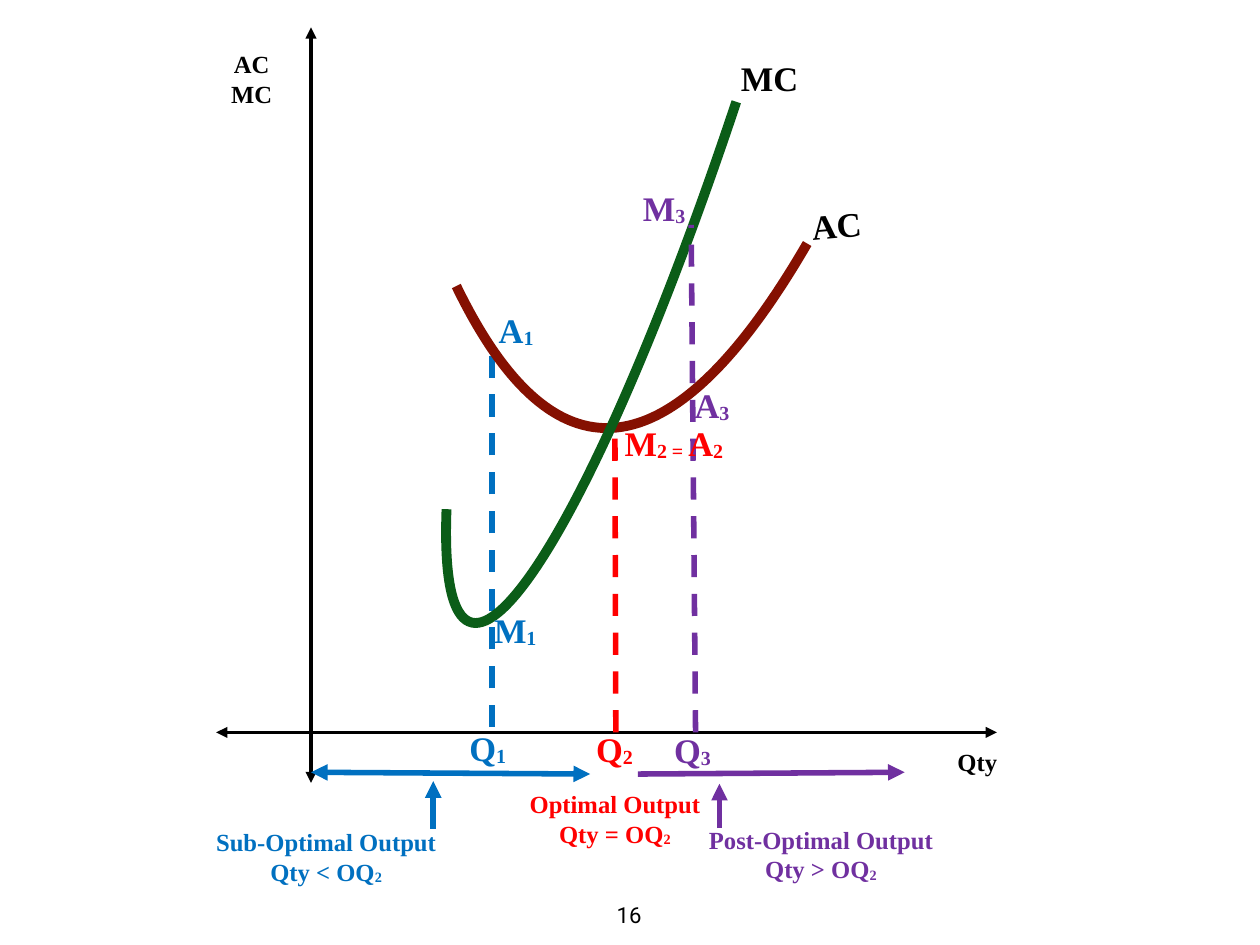
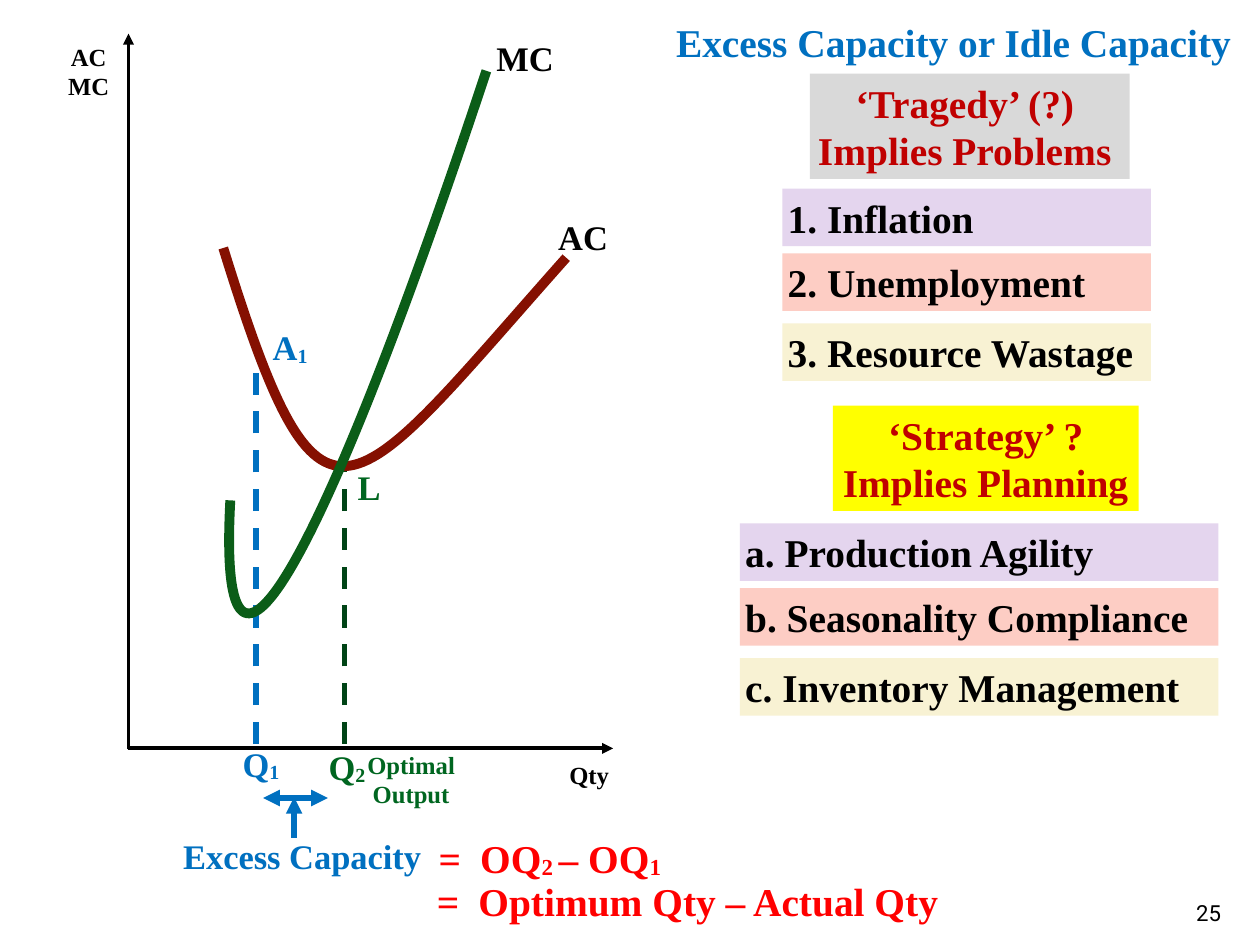
from dataclasses import dataclass

from lxml import etree
from pptx import Presentation
from pptx.dml.color import RGBColor
from pptx.enum.dml import MSO_LINE_DASH_STYLE as Dash
from pptx.enum.shapes import MSO_CONNECTOR as Connector, MSO_SHAPE as Preset
from pptx.enum.text import MSO_ANCHOR as Anchor, MSO_AUTO_SIZE as AutoSize, PP_ALIGN as Align
from pptx.oxml.ns import qn
from pptx.util import Inches, Pt


@dataclass(frozen=True)
class Theme:
    black: str = "000000"
    blue: str = "0070C0"
    red: str = "FF0000"
    purple: str = "7030A0"
    green: str = "006620"
    dark_green: str = "004416"
    crimson: str = "C00000"
    average_cost: str = "851001"
    marginal_cost: str = "0B5D18"
    grey_fill: str = "D9D9D9"
    yellow_fill: str = "FFFF00"
    row_fills: tuple = ("E4D5EE", "FDCDC4", "F8F2D3")
    serif: str = "Times New Roman"
    sans: str = "Roboto"
    heading: int = 32
    point: int = 28
    caption: int = 20
    page: int = 18
    axis_width: float = 3
    guide_width: float = 4.5
    curve_width: float = 8


theme = Theme()


def write(shape, text, ink, size, align=Align.CENTER, font=theme.serif):
    frame = shape.text_frame
    frame.auto_size = AutoSize.NONE
    frame.word_wrap = shape.width > Inches(1)
    frame.vertical_anchor = Anchor.MIDDLE
    frame.margin_left = frame.margin_right = Inches(0.06)
    frame.margin_top = frame.margin_bottom = Inches(0.06)
    frame.text = text
    for paragraph in frame.paragraphs:
        paragraph.alignment = align
        first, *rest = paragraph.text.split("_")
        paragraph.text = first
        for index, piece in enumerate(rest):
            run = paragraph.add_run()
            run.text = piece
            if index % 2 == 0:
                run._r.get_or_add_rPr().set("baseline", "-6000")
        for run in paragraph.runs:
            run.font.name = font
            run.font.size = Pt(size)
            run.font.bold = font == theme.serif
            run.font.color.rgb = RGBColor.from_string(ink)


def draw_line(slide, points, ink, width, ends="", dash=None):
    line = slide.shapes.add_connector(Connector.STRAIGHT, *map(Inches, points))
    line.line.color.rgb = RGBColor.from_string(ink)
    line.line.width = Pt(width)
    if dash:
        line.line.dash_style = dash
    outline = line.line._get_or_add_ln()
    for end in ends.split():
        etree.SubElement(outline, qn(f"a:{end}"), type="triangle")
    etree.SubElement(line._element.spPr, qn("a:effectLst"))


deck = Presentation()
deck.slide_width, deck.slide_height = Inches(14.22), Inches(10.67)
optimum = deck.slides.add_slide(deck.slide_layouts[6])
capacity = deck.slides.add_slide(deck.slide_layouts[5])

title = capacity.shapes.title
title.left, title.top, title.width, title.height = map(Inches, (7.57, 0.15, 6.6, 0.65))
write(title, "Excess Capacity or Idle Capacity", theme.blue, theme.heading, Align.LEFT)

for slide, points, ink in (
    (optimum, (5.55, 8.21, 5.55, 4), theme.blue),
    (capacity, (2.89, 8.4, 2.89, 4.11), theme.blue),
    (capacity, (3.89, 8.4, 3.89, 5.24), theme.dark_green),
):
    draw_line(slide, points, ink, theme.guide_width, dash=Dash.DASH)

for slide, points, ends in (
    (optimum, (3.51, 8.84, 3.51, 0.31), "headEnd tailEnd"),
    (optimum, (2.44, 8.27, 11.25, 8.27), "headEnd tailEnd"),
    (capacity, (1.45, 8.46, 1.45, 0.38), "tailEnd"),
    (capacity, (1.44, 8.45, 6.92, 8.45), "tailEnd"),
):
    draw_line(slide, points, theme.black, theme.axis_width, ends)

for slide, ink, controls in (
    (optimum, theme.average_cost, ((9.11, 2.75), (7.76, 5.08), (6.37, 5.75), (5.15, 3.23))),
    (optimum, theme.marginal_cost, ((8.31, 1.15), (6.57, 6.37), (4.93, 8.68), (5.04, 5.75))),
    (capacity, theme.average_cost, ((6.39, 2.91), (3.91, 5.7), (3.64, 6.42), (2.52, 2.8))),
    (capacity, theme.marginal_cost, ((5.49, 0.8), (3.72, 6.14), (2.44, 8.63), (2.6, 5.65))),
):
    samples = []
    for step in range(41):
        t = step / 40
        weights = ((1 - t) ** 3, 3 * t * (1 - t) ** 2, 3 * t**2 * (1 - t), t**3)
        samples.append([
            Inches(sum(weight * point[axis] for weight, point in zip(weights, controls)))
            for axis in (0, 1)
        ])
    builder = slide.shapes.build_freeform(*samples[0])
    builder.add_line_segments(samples[1:], close=False)
    curve = builder.convert_to_shape()
    curve.shadow.inherit = False
    curve.fill.background()
    curve.line.color.rgb = RGBColor.from_string(ink)
    curve.line.width = Pt(theme.curve_width)
    outline = next(curve._element.iter(qn("a:path")))
    for segment in outline.findall(qn("a:lnTo")):
        outline.remove(segment)
    bezier = etree.SubElement(outline, qn("a:cubicBezTo"))
    for x, y in controls[1:]:
        etree.SubElement(bezier, qn("a:pt"), x=str(Inches(x) - curve.left), y=str(Inches(y) - curve.top))

for points, ink in (
    ((6.95, 8.27, 6.94, 4.81), theme.red),
    ((7.85, 8.27, 7.8, 2.54), theme.purple),
):
    draw_line(optimum, points, ink, theme.guide_width, dash=Dash.DASH)

for slide, points, ink, ends in (
    (optimum, (4.89, 9.36, 4.89, 8.82), theme.blue, "tailEnd"),
    (optimum, (3.51, 8.72, 6.66, 8.74), theme.blue, "headEnd tailEnd"),
    (optimum, (8.12, 9.35, 8.12, 8.85), theme.purple, "tailEnd"),
    (optimum, (7.2, 8.74, 10.21, 8.72), theme.purple, "tailEnd"),
    (capacity, (3.32, 9.46, 3.32, 9), theme.blue, "tailEnd"),
    (capacity, (2.97, 9.01, 3.7, 9.01), theme.blue, "headEnd tailEnd"),
):
    draw_line(slide, points, ink, theme.guide_width, ends)

for slide, left, top, width, text, ink in (
    (optimum, 5.56, 3.43, 0.53, "A_1", theme.blue),
    (optimum, 5.51, 6.82, 0.61, "M_1", theme.blue),
    (optimum, 5.23, 8.15, 0.55, "Q_1", theme.blue),
    (optimum, 8.3, 0.59, 0.77, "MC", theme.black),
    (optimum, 6.87, 4.71, 1.47, "M_2 = _A_2", theme.red),
    (optimum, 6.66, 8.16, 0.55, "Q_2", theme.red),
    (optimum, 7.77, 4.28, 0.53, "A_3", theme.purple),
    (optimum, 7.19, 2.05, 0.61, "M_3", theme.purple),
    (optimum, 7.54, 8.17, 0.55, "Q_3", theme.purple),
    (capacity, 3.01, 3.63, 0.53, "A_1", theme.blue),
    (capacity, 2.67, 8.33, 0.55, "Q_1", theme.blue),
    (capacity, 3.64, 8.37, 0.55, "Q_2", theme.green),
    (capacity, 6.24, 2.38, 0.68, "AC", theme.black),
    (capacity, 5.54, 0.36, 0.77, "MC", theme.black),
    (capacity, 3.98, 5.2, 0.37, "L", theme.green),
    (capacity, 1.87, 9.37, 3.08, "Excess Capacity", theme.blue),
):
    point_label = slide.shapes.add_textbox(*map(Inches, (left, top, width, 0.58)))
    write(point_label, text, ink, theme.point)

average_cost_label = optimum.shapes.add_textbox(*map(Inches, (9.03, 2.25, 0.82, 0.58)))
average_cost_label.rotation = 354.7
write(average_cost_label, "AC", theme.black, theme.point)

for slide, box, text, ink in (
    (optimum, (2.22, 0.49, 1.24, 0.79), "AC\nMC", theme.black),
    (optimum, (10.41, 8.37, 1.24, 0.45), "Qty", theme.black),
    (optimum, (5.67, 8.85, 2.54, 0.79), "Optimal Output\nQty = OQ_2", theme.red),
    (optimum, (2.14, 9.28, 3.08, 0.79), "Sub-Optimal Output\nQty < OQ_2", theme.blue),
    (optimum, (7.81, 9.25, 2.91, 0.79), "Post-Optimal Output\nQty > OQ_2", theme.purple),
    (capacity, (0.38, 0.41, 1.24, 0.79), "AC\nMC", theme.black),
    (capacity, (6.03, 8.52, 1.24, 0.45), "Qty", theme.black),
    (capacity, (3.37, 8.4, 2.54, 0.79), "Optimal\nOutput", theme.green),
):
    caption = slide.shapes.add_textbox(*map(Inches, box))
    write(caption, text, ink, theme.caption)

for left, top, width, text in (
    (4.89, 9.36, 3.5, "=\tOQ_2 _– OQ_1"),
    (4.87, 9.84, 6, "=\tOptimum Qty – Actual Qty"),
):
    equation = capacity.shapes.add_textbox(*map(Inches, (left, top, width, 0.65)))
    write(equation, text, theme.red, theme.heading, Align.LEFT)
    properties = equation.text_frame.paragraphs[0]._p.get_or_add_pPr()
    tabs = etree.SubElement(properties, qn("a:tabLst"))
    etree.SubElement(tabs, qn("a:tab"), pos=str(Inches(0.47)), algn="l")

for box, text, fill, right_margin in (
    ((9.14, 0.83, 3.61, 1.19), "‘Tragedy’ (?)\nImplies Problems", theme.grey_fill, 0.17),
    ((9.4, 4.58, 3.45, 1.19), "‘Strategy’ ?\nImplies Planning", theme.yellow_fill, 0.06),
):
    verdict = capacity.shapes.add_shape(Preset.RECTANGLE, *map(Inches, box))
    verdict.shadow.inherit = False
    verdict.fill.solid()
    verdict.fill.fore_color.rgb = RGBColor.from_string(fill)
    verdict.line.fill.background()
    write(verdict, text, theme.crimson, theme.heading)
    verdict.text_frame.margin_right = Inches(right_margin)

for left, top, width, items in (
    (8.83, 2.13, 4.16, ("1. Inflation", "2. Unemployment", "3. Resource Wastage")),
    (8.35, 5.91, 5.4, ("a. Production Agility", "b. Seasonality Compliance", "c. Inventory Management")),
):
    for item, fill, offset in zip(items, theme.row_fills, (0, 0.73, 1.52)):
        row = capacity.shapes.add_shape(
            Preset.RECTANGLE, *map(Inches, (left, top + offset, width, 0.65))
        )
        row.shadow.inherit = False
        row.fill.solid()
        row.fill.fore_color.rgb = RGBColor.from_string(fill)
        row.line.fill.background()
        write(row, item, theme.black, theme.heading, Align.LEFT)

for slide, left, top, number in ((optimum, 6.9, 10.12, "16"), (capacity, 13.44, 10.1, "25")):
    page_number = slide.shapes.add_textbox(*map(Inches, (left, top, 0.4, 0.42)))
    write(page_number, number, theme.black, theme.page, font=theme.sans)

deck.save("out.pptx")
